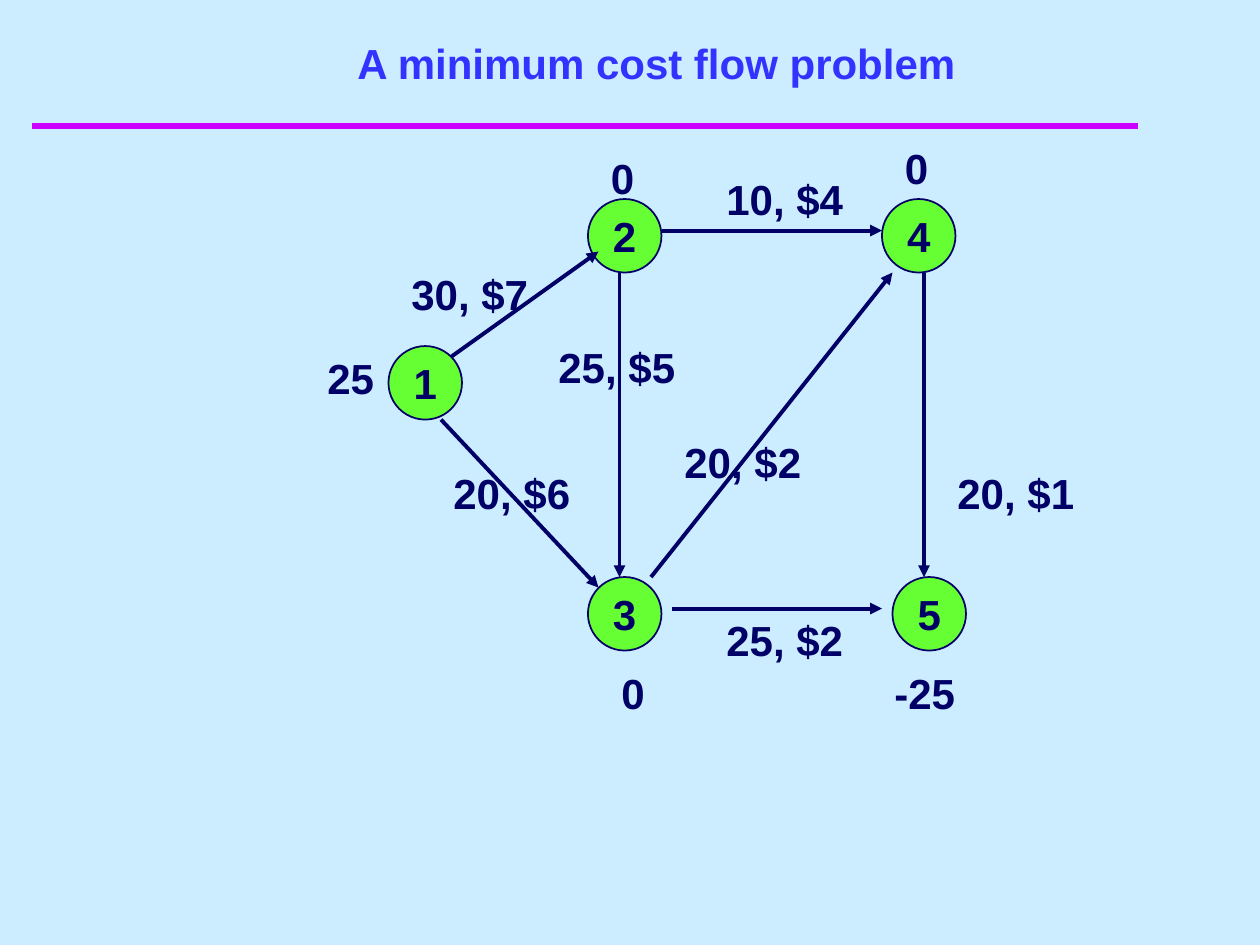
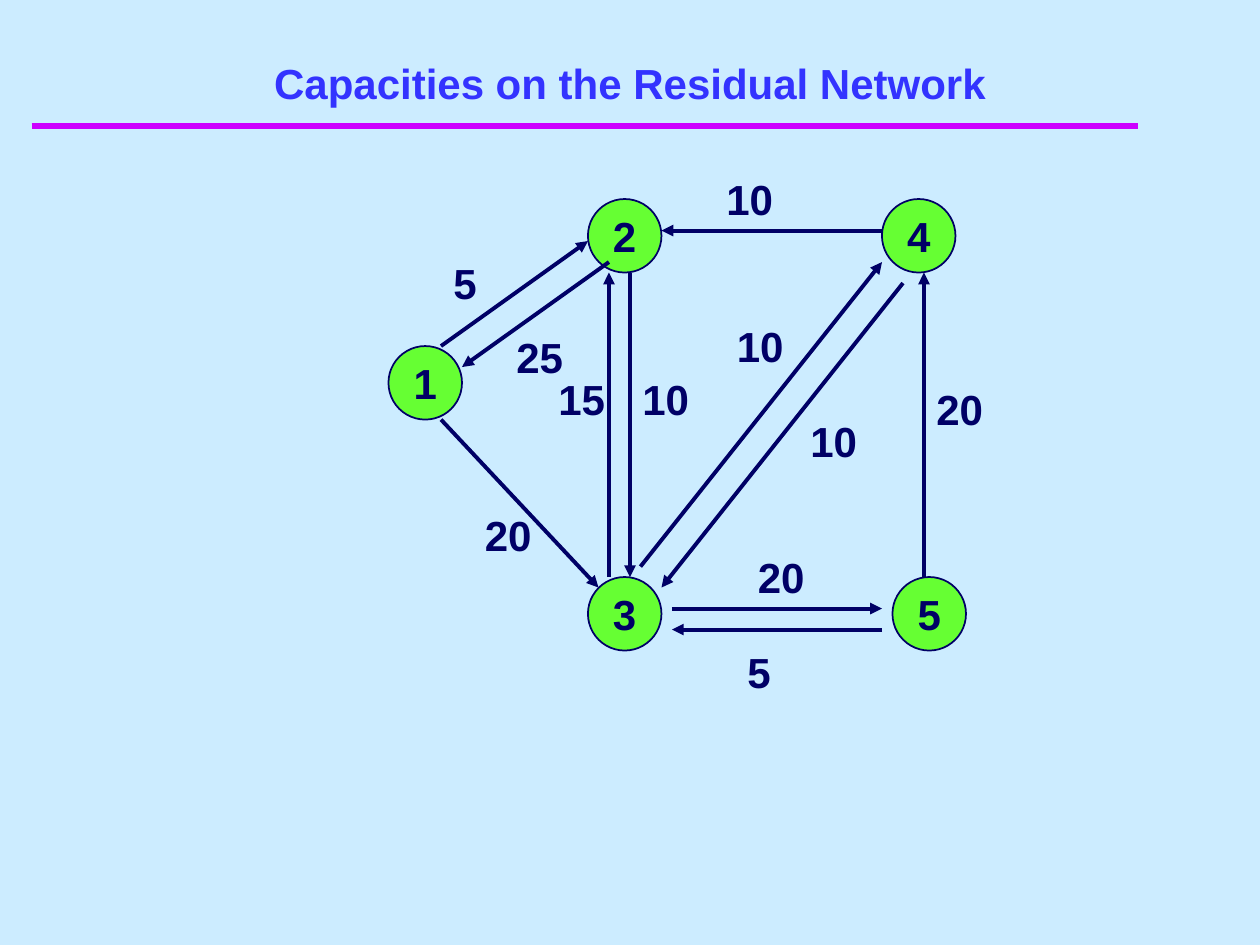
import pptx
import pptx.dml.color
import pptx.enum.shapes
import pptx.enum.text
import pptx.oxml
import pptx.oxml.ns
import pptx.util

Inches = pptx.util.Inches
RGBColor = pptx.dml.color.RGBColor
PALE_BLUE = RGBColor(0xCC, 0xEC, 0xFF)
TITLE_BLUE = RGBColor(0x33, 0x33, 0xFF)
NAVY = RGBColor(0x00, 0x00, 0x66)
GREEN = RGBColor(0x66, 0xFF, 0x33)
MAGENTA = RGBColor(0xCC, 0x00, 0xFF)

STEP = Inches(1) / 12  # the networks are laid out on a grid of twelfths of an inch
NODE_SIZE = 7
LABEL_HEIGHT = 6
FLOW_WIDTH = 14
SUPPLY_WIDTH = 9
NETWORK_ORIGIN = Inches(2.5), Inches(1.08)

# Grid positions relative to the network's top left corner
NODES = {"1": (7, 20), "2": (26, 6), "4": (54, 6), "3": (26, 42), "5": (55, 42)}

# Each arrow runs from its first point to its second
COST_ARROWS = [
    ((33, 9), (54, 9)),
    ((13, 21), (27, 11)),
    ((12, 27), (27, 43)),
    ((58, 13), (58, 42)),
    ((29, 13), (29, 42)),
    ((32, 42), (55, 13)),
    ((34, 45), (54, 45)),
]
COST_LABELS = [
    ("10, $4", 38, 3), ("20, $1", 60, 31), ("20, $2", 34, 28), ("25, $2", 38, 45),
    ("25, $5", 22, 19), ("20, $6", 12, 31), ("30, $7", 8, 12),
]
SUPPLY_LABELS = [
    ("25", 0, 20), ("0", 27, 1), ("0", 55, 0), ("0", 28, 50), ("-25", 54, 50),
]
RESIDUAL_ARROWS = [
    ((34, 45), (54, 45)),
    ((54, 9), (33, 9)),
    ((12, 20), (26, 10)),
    ((12, 27), (27, 43)),
    ((58, 42), (58, 13)),
    ((30, 13), (30, 42)),
    ((31, 41), (54, 12)),
    ((28, 12), (14, 22)),
    ((28, 42), (28, 13)),
    ((56, 14), (33, 43)),
    ((54, 47), (34, 47)),
]
RESIDUAL_LABELS = [
    ("10", 38, 3), ("20", 58, 23), ("20", 15, 35), ("5", 12, 11), ("25", 18, 18),
    ("10", 39, 17), ("10", 30, 22), ("15", 22, 22), ("5", 40, 48), ("20", 41, 39),
    ("10", 46, 26),
]


def write(frame, text, color, align=None):
    """Fill a text frame with one bold paragraph in the deck's font."""
    frame.text = text
    para = frame.paragraphs[0]
    para.alignment = align
    para.font.name = "Arial"
    para.font.size = pptx.util.Pt(24)
    para.font.bold = True
    para.font.color.rgb = color


def add_line(page, start, end, color, width):
    line = page.shapes.add_connector(
        pptx.enum.shapes.MSO_CONNECTOR.STRAIGHT, *start, *end)
    line.line.color.rgb = color
    line.line.width = pptx.util.Pt(width)
    properties = line._element.spPr
    properties.append(pptx.oxml.parse_xml(
        f"<a:effectLst {pptx.oxml.ns.nsdecls('a')}/>"))
    return line


def add_page(deck, title, left, top, width, height):
    """Add a slide with the magenta rule and its title in the given box."""
    page = deck.slides.add_slide(deck.slide_layouts[5])
    add_line(page, (Inches(0.25), Inches(1)), (Inches(9.03), Inches(1)), MAGENTA, 4)
    heading = page.shapes.title
    heading.left, heading.top = Inches(left), Inches(top)
    heading.width, heading.height = Inches(width), Inches(height)
    frame = heading.text_frame
    frame.auto_size = pptx.enum.text.MSO_AUTO_SIZE.NONE
    frame.vertical_anchor = pptx.enum.text.MSO_ANCHOR.BOTTOM
    write(frame, title, TITLE_BLUE, pptx.enum.text.PP_ALIGN.CENTER)
    return page


def on_grid(origin, column, row):
    return round(origin[0] + column * STEP), round(origin[1] + row * STEP)


def add_nodes(page, origin):
    size = round(NODE_SIZE * STEP)
    for name, position in NODES.items():
        node = page.shapes.add_shape(
            pptx.enum.shapes.MSO_SHAPE.OVAL, *on_grid(origin, *position), size, size)
        node.shadow.inherit = False
        node.fill.solid()
        node.fill.fore_color.rgb = GREEN
        node.line.color.rgb = NAVY
        node.line.width = pptx.util.Pt(1)
        node.text_frame.word_wrap = False
        node.text_frame.vertical_anchor = pptx.enum.text.MSO_ANCHOR.MIDDLE
        write(node.text_frame, name, NAVY, pptx.enum.text.PP_ALIGN.CENTER)


def add_arrows(page, origin, arrows):
    for start, end in arrows:
        arrow = add_line(
            page, on_grid(origin, *start), on_grid(origin, *end), NAVY, 2.25)
        arrow.line._get_or_add_ln().append(pptx.oxml.parse_xml(
            f"<a:tailEnd {pptx.oxml.ns.nsdecls('a')} type='triangle'/>"))


def add_labels(page, origin, labels, width):
    for text, column, row in labels:
        box = page.shapes.add_textbox(
            *on_grid(origin, column, row),
            round(width * STEP), round(LABEL_HEIGHT * STEP))
        box.text_frame.word_wrap = True
        write(box.text_frame, text, NAVY)


def add_network(page, origin, arrows, labels):
    add_nodes(page, origin)
    add_arrows(page, origin, arrows)
    add_labels(page, origin, labels, FLOW_WIDTH)


def main():
    deck = pptx.Presentation()
    deck.slide_width, deck.slide_height = Inches(10), Inches(7.5)
    background = deck.slide_master.background.fill
    background.solid()
    background.fore_color.rgb = PALE_BLUE

    page = add_page(deck, "A minimum cost flow problem", 0.42, 0.33, 9.58, 0.42)
    add_network(page, NETWORK_ORIGIN, COST_ARROWS, COST_LABELS)
    add_labels(page, NETWORK_ORIGIN, SUPPLY_LABELS, SUPPLY_WIDTH)

    page = add_page(deck, "Capacities on the Residual Network", 0.5, 0.21, 9, 0.7)
    add_network(page, NETWORK_ORIGIN, RESIDUAL_ARROWS, RESIDUAL_LABELS)

    deck.save("out.pptx")


if __name__ == "__main__":
    main()
